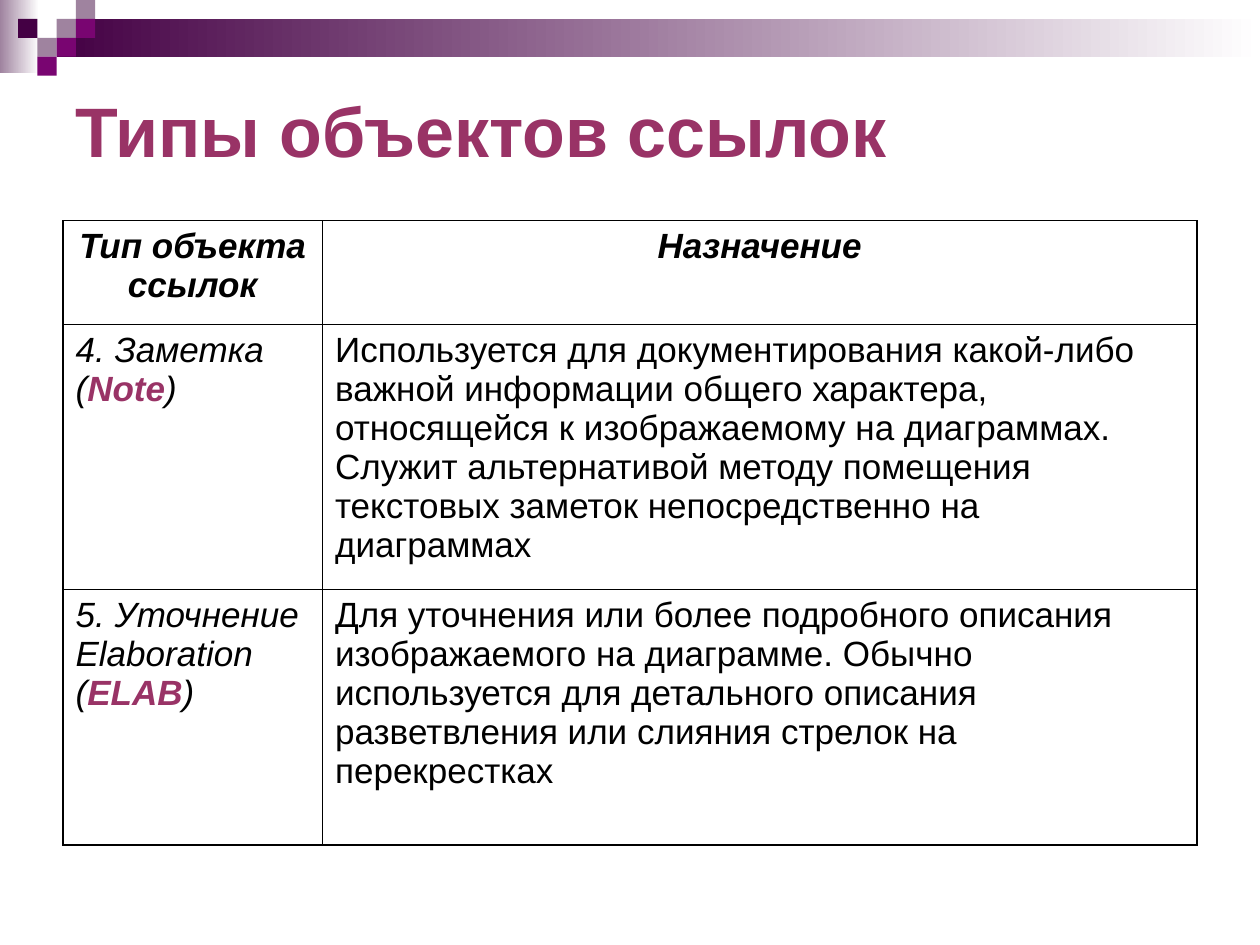
from dataclasses import dataclass

from lxml import etree
from pptx import Presentation
from pptx.dml.color import RGBColor
from pptx.enum.shapes import MSO_SHAPE
from pptx.enum.text import MSO_ANCHOR, PP_ALIGN
from pptx.oxml.ns import qn
from pptx.util import Pt

RECT = MSO_SHAPE.RECTANGLE
MIDDLE = MSO_ANCHOR.MIDDLE
LEFT, CENTER = PP_ALIGN.LEFT, PP_ALIGN.CENTER


@dataclass(frozen=True)
class Theme:
    font: str = "Arial"
    title_size: float = 40
    body_size: float = 20
    text: str = "000000"
    accent: str = "993366"
    white: str = "FFFFFF"
    dark: str = "440044"
    vivid: str = "790571"
    pale: str = "9F839F"
    outer_line: float = 1.08
    inner_line: float = 0.45


class Deck:
    """Draws styled elements on the current slide."""

    def __init__(self, prs, theme):
        self.theme = theme
        self.s = prs.slides.add_slide(prs.slide_layouts[6])

    def rect(self, x, y, w, h, color, fade_to=None):
        sp = self.s.shapes.add_shape(RECT, Pt(x), Pt(y), Pt(w), Pt(h))
        sp.shadow.inherit = False
        sp.line.fill.background()
        if fade_to is None:
            sp.fill.solid()
            sp.fill.fore_color.rgb = RGBColor.from_string(color)
            return
        sp.fill.gradient()
        sp.fill.gradient_angle = 0
        for stop, stop_color in zip(sp.fill.gradient_stops, (color, fade_to)):
            stop.color.rgb = RGBColor.from_string(stop_color)

    def style(self, r, size, color, bold=False, italic=False):
        r.font.name = self.theme.font
        r.font.size = Pt(size)
        r.font.color.rgb = RGBColor.from_string(color)
        r.font.bold = bold
        r.font.italic = italic

    def title(self, text, x, y, w, h):
        tf = self.s.shapes.add_textbox(Pt(x), Pt(y), Pt(w), Pt(h)).text_frame
        tf.word_wrap = True
        tf.vertical_anchor = MIDDLE
        tf.text = text
        self.style(tf.paragraphs[0].runs[0], self.theme.title_size,
                   self.theme.accent, bold=True)

    def border(self, cell, widths):
        tc_pr = cell._tc.get_or_add_tcPr()
        for side, width in zip("LRTB", widths):
            ln = etree.SubElement(tc_pr, qn(f"a:ln{side}"), w=str(Pt(width)))
            fill = etree.SubElement(ln, qn("a:solidFill"))
            etree.SubElement(fill, qn("a:srgbClr"), val=self.theme.text)

    def cell(self, cell, parts, header, italic):
        p = cell.text_frame.paragraphs[0]
        p.alignment = CENTER if header else LEFT
        for i, part in enumerate(parts):
            key = i % 2 == 1
            r = p.add_run()
            r.text = part
            self.style(r, self.theme.body_size,
                       self.theme.accent if key else self.theme.text,
                       bold=header or key, italic=italic)

    def table(self, rows, x, y, col_widths, row_heights):
        outer, inner = self.theme.outer_line, self.theme.inner_line
        table = self.s.shapes.add_table(
            len(rows), len(col_widths), Pt(x), Pt(y),
            Pt(sum(col_widths)), Pt(sum(row_heights))).table
        table.first_row = table.horz_banding = False
        for column, width in zip(table.columns, col_widths):
            column.width = Pt(width)
        for i, (row, height) in enumerate(zip(rows, row_heights)):
            table.rows[i].height = Pt(height)
            for j, parts in enumerate(row):
                cell = table.cell(i, j)
                self.border(cell, (outer if j == 0 else inner,
                                   outer if j == len(row) - 1 else inner,
                                   inner,
                                   outer if i == len(rows) - 1 else inner))
                cell.fill.background()
                self.cell(cell, parts, header=i == 0, italic=i == 0 or j == 0)


def main():
    prs = Presentation()
    prs.slide_width, prs.slide_height = Pt(720), Pt(540)
    theme = Theme()
    deck = Deck(prs, theme)

    deck.rect(0, 0, 22.3, 41.8, theme.pale, fade_to=theme.white)
    deck.rect(32.4, 10.8, 687.6, 21.6, theme.dark, fade_to=theme.white)
    squares = [(2, 1, theme.pale), (3, 0, theme.pale), (3, 1, theme.vivid),
               (1, 2, theme.pale), (0, 1, theme.dark), (2, 2, theme.vivid),
               (1, 3, theme.vivid)]
    for col, row, color in squares:
        deck.rect(10.4 + 11 * col, 10.8 * row, 11, 10.8, color)

    deck.title("Типы объектов ссылок", 36, 36, 648, 75.6)
    rows = [
        (["Тип объекта ссылок"], ["Назначение"]),
        (["4. Заметка (", "Note", ")"],
         ["Используется для документирования какой-либо важной информации "
          "общего характера, относящейся к изображаемому на диаграммах. "
          "Служит альтернативой методу помещения текстовых заметок "
          "непосредственно на диаграммах"]),
        (["5. Уточнение Elaboration (", "ELAB", ")"],
         ["Для уточнения или более подробного описания изображаемого на "
          "диаграмме. Обычно используется для детального описания "
          "разветвления или слияния стрелок на перекрестках"]),
    ]
    deck.table(rows, 36, 126, (148.3, 499.7), (59.2, 151.4, 146.4))
    prs.save("out.pptx")


if __name__ == "__main__":
    main()
